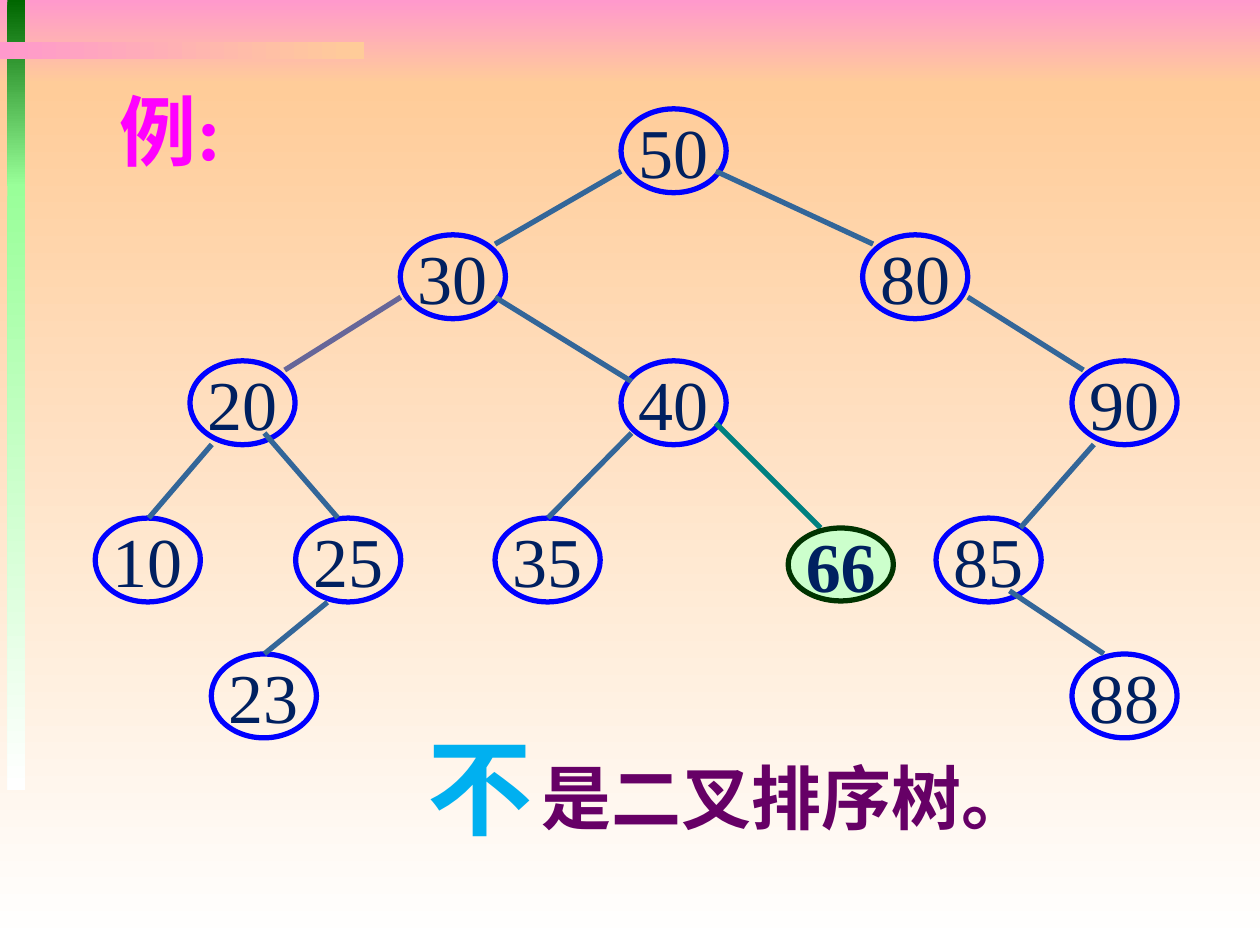
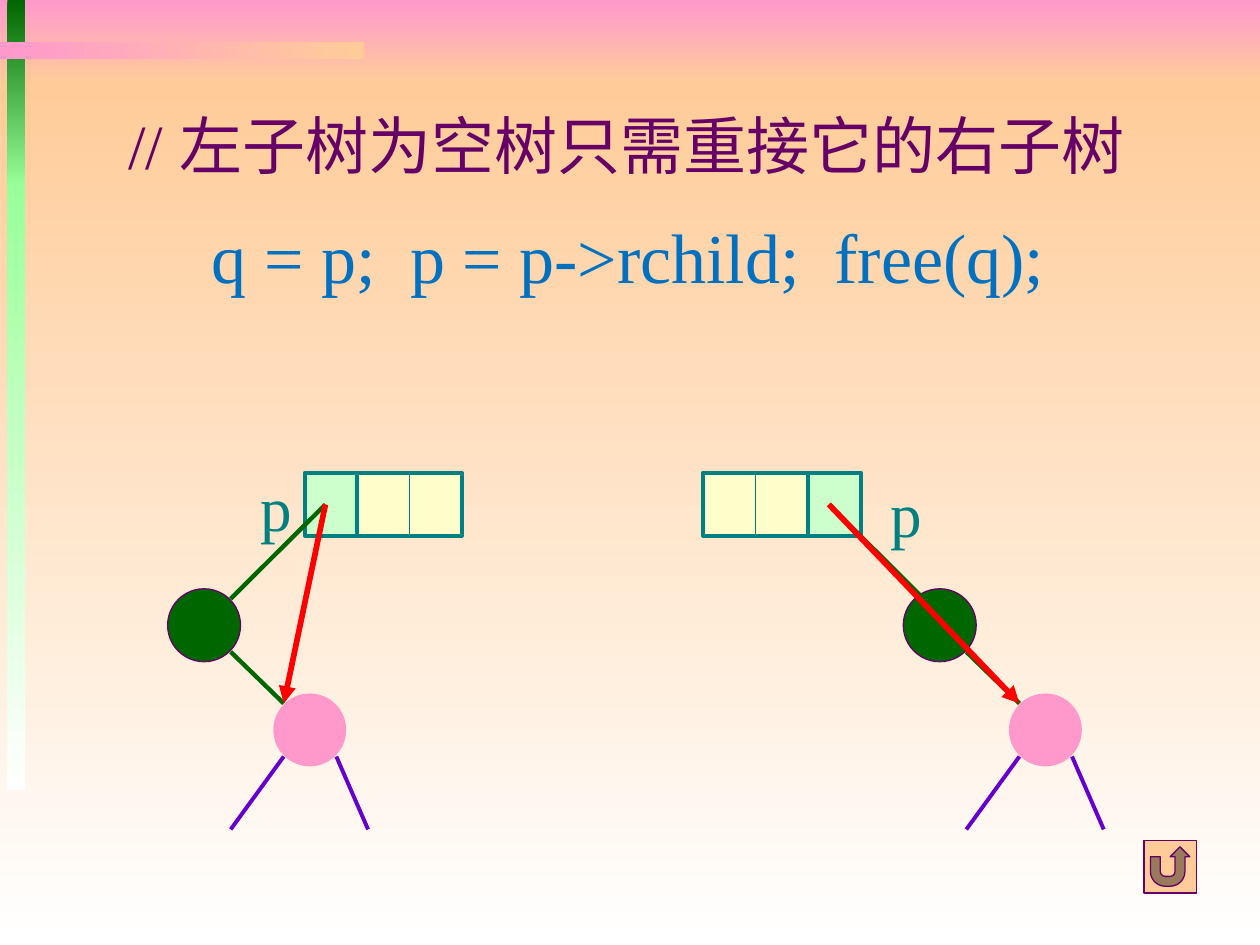
from lxml import etree
from pptx import Presentation
from pptx.dml.color import RGBColor
from pptx.enum.shapes import MSO_CONNECTOR, MSO_SHAPE
from pptx.enum.text import MSO_ANCHOR, PP_ALIGN
from pptx.oxml.ns import qn
from pptx.util import Cm, Pt

RECT = MSO_SHAPE.RECTANGLE
OVAL = MSO_SHAPE.OVAL
RETURN_BUTTON = MSO_SHAPE.ACTION_BUTTON_RETURN
STRAIGHT = MSO_CONNECTOR.STRAIGHT
MIDDLE = MSO_ANCHOR.MIDDLE
CENTER = PP_ALIGN.CENTER

LATIN = "Times New Roman"
CHINESE = "Noto Sans CJK SC"
PINK, PEACH, WHITE = "FF99CC", "FFCC99", "FFFFFF"
GREEN, LIGHT_GREEN, MINT = "006600", "99FF99", "CCFFCC"
NAVY, BLUE, STEEL, TEAL = "002060", "0000FF", "336699", "008080"
PURPLE, VIOLET, RED, CREAM = "660066", "6600CC", "FF0000", "FFFFCC"

NODE_W, NODE_H = 2.12, 1.69
LEVELS = (0.86, 3.4, 5.94, 9.11, 11.85)
NODES = (
    (50, 11.65, 0), (30, 7.2, 1), (80, 16.52, 1), (20, 2.96, 2),
    (40, 11.65, 2), (90, 20.74, 2), (10, 1.05, 3), (25, 5.09, 3),
    (35, 9.11, 3), (85, 18.0, 3), (23, 3.39, 4), (88, 20.74, 4),
)
EDGES = (
    (10.59, 1.27, 8.05, 2.74, STEEL), (6.15, 3.81, 3.81, 5.28, "666699"),
    (12.5, 1.27, 15.67, 2.74, STEEL), (8.05, 3.81, 10.8, 5.51, STEEL),
    (2.34, 6.78, 1.07, 8.26, STEEL), (3.4, 6.55, 4.88, 8.26, STEEL),
    (4.67, 9.96, 3.4, 11.0, STEEL), (10.8, 6.55, 9.12, 8.26, STEEL),
    (17.58, 3.81, 19.91, 5.28, STEEL), (20.12, 6.78, 18.64, 8.46, STEEL),
    (18.42, 9.73, 20.32, 11.0, STEEL), (12.5, 6.35, 14.61, 8.46, TEAL),
)


def color(value):
    return RGBColor.from_string(value)


def add_figure(slide, kind, box, fill=None, line=None, width=0.75):
    figure = slide.shapes.add_shape(kind, *map(Cm, box))
    figure.shadow.inherit = False
    if fill:
        figure.fill.solid()
        figure.fill.fore_color.rgb = color(fill)
    else:
        figure.fill.background()
    if line:
        figure.line.color.rgb = color(line)
        figure.line.width = Pt(width)
    else:
        figure.line.fill.background()
    return figure


def add_line(slide, start, end, stroke, width, arrow=False):
    line = slide.shapes.add_connector(STRAIGHT, *map(Cm, (*start, *end)))
    line.line.color.rgb = color(stroke)
    line.line.width = Pt(width)
    properties = line.element.spPr
    if arrow:
        etree.SubElement(properties.find(qn("a:ln")), qn("a:tailEnd"), type="triangle")
    etree.SubElement(properties, qn("a:effectLst"))


def write(frame, text, size, ink, bold=False, font=LATIN):
    frame.text = text
    run = frame.paragraphs[0].runs[0]
    run.font.name = font
    run.font.size = Pt(size)
    run.font.bold = bold
    run.font.color.rgb = color(ink)
    latin = run.font._element.find(qn("a:latin"))
    latin.addnext(latin.makeelement(qn("a:ea"), typeface=CHINESE))


def add_text(slide, box, text, size, ink, bold=False, font=LATIN, wrap=False):
    label = slide.shapes.add_textbox(*map(Cm, box))
    label.text_frame.word_wrap = wrap
    write(label.text_frame, text, size, ink, bold, font)
    return label


def add_theme(slide, layout):
    for placeholder in list(layout.placeholders):
        layout.shapes.element.remove(placeholder.element)
    bands = (
        ((0, 0, 25.4, 1.7), PINK, PEACH, 270),
        ((0, 1.7, 25.4, 17.35), PEACH, WHITE, 270),
        ((0.15, 0, 0.36, 3.76), GREEN, LIGHT_GREEN, 270),
        ((0.15, 3.71, 0.36, 12.22), LIGHT_GREEN, WHITE, 270),
        ((0, 0.84, 7.34, 0.36), PINK, PEACH, 0),
    )
    for box, first, last, angle in bands:
        band = add_figure(slide, RECT, box)
        band.fill.gradient()
        band.fill.gradient_angle = angle
        for stop, shade in zip(band.fill.gradient_stops, (first, last)):
            stop.color.rgb = color(shade)
        layout.shapes.element.append(band.element)


def add_node(slide, center_x, center_y, key, height=NODE_H, fill=None, line=BLUE, bold=False):
    box = (center_x - NODE_W / 2, center_y - height / 2, NODE_W, height)
    node = add_figure(slide, OVAL, box, fill, line, 3)
    frame = node.text_frame
    frame.word_wrap = False
    frame.vertical_anchor = MIDDLE
    write(frame, str(key), 40, NAVY, bold)
    frame.paragraphs[0].alignment = CENTER


def add_tree(slide, left, top):
    for key, x, level in NODES:
        add_node(slide, left + x, top + LEVELS[level], key)
    for x1, y1, x2, y2, stroke in EDGES:
        add_line(slide, (left + x1, top + y1), (left + x2, top + y2), stroke, 3)
    add_node(slide, left + 15.02, top + 9.2, 66, 1.47, MINT, "003300", True)


def add_verdict(slide, left, top):
    add_text(slide, (left + 2.31, top + 0.64, 10.49, 1.96), "是二叉排序树。", 40, PURPLE, True, CHINESE)
    add_text(slide, (left, top, 2.64, 2.79), "不", 60, "00B0F0", True)


def add_code(slide, left, top):
    remark = add_text(slide, (left, top, 20.78, 2.29), "// 左子树为空树只需重接它的右子树",
                      36, PURPLE, wrap=True)
    remark.text_frame.paragraphs[0].line_spacing = 1.5
    add_text(slide, (left + 1.68, top + 2.92, 17.32, 1.96),
             "q = p;  p = p->rchild;  free(q);", 40, "0070C0")


def add_relinking(slide, left, top, link_x, cells_x, subtree_x, removed_end_x, p_x, p_y):
    def at(x, y):
        return left + x, top + y

    def below(x, y):
        return at(subtree_x + x, y)

    cell_w, cell_h, circle = 1.06, 1.27, 1.47
    middle_x = cells_x + cell_w
    link = at(link_x + 0.41, 0.64)
    child = below(2.34, 4.65)
    add_figure(slide, RECT, (*at(link_x, 0), cell_w, cell_h), MINT, TEAL, 2.25)
    add_figure(slide, RECT, (*at(cells_x, 0), 2 * cell_w, cell_h), CREAM, TEAL, 2.25)
    add_line(slide, at(middle_x, 0), at(middle_x, cell_h), TEAL, 0.75)
    add_figure(slide, OVAL, (*below(0, 2.34), circle, circle), GREEN, PURPLE)
    add_figure(slide, OVAL, (*below(2.13, 4.45), circle, circle), PINK)
    add_line(slide, below(2.34, 5.72), below(1.27, 7.19), VIOLET, 2.25)
    add_line(slide, below(3.4, 5.72), below(4.04, 7.19), VIOLET, 2.25)
    add_line(slide, below(1.27, 3.61), child, GREEN, 2.5)
    add_line(slide, link, below(removed_end_x, 2.54), GREEN, 2.5)
    add_line(slide, link, child, RED, 3.25, arrow=True)
    add_text(slide, (*at(p_x, p_y), 1.14, 1.78), "p", 36, TEAL)


def build_example(slide):
    add_tree(slide, 1.93, 2.18)
    add_text(slide, (2.16, 1.55, 2.62, 2.13), "例:", 44, "FF00FF", True)
    add_verdict(slide, 8.36, 14.45)


def build_deletion(slide):
    add_code(slide, 2.34, 1.27)
    add_relinking(slide, 3.38, 9.53, link_x=2.77, cells_x=3.81, subtree_x=0,
                  removed_end_x=1.27, p_x=1.63, p_y=-0.2)
    add_relinking(slide, 14.17, 9.53, link_x=2.13, cells_x=0, subtree_x=4.04,
                  removed_end_x=0.41, p_x=3.53, p_y=-0.08)
    add_figure(slide, RETURN_BUTTON, (23.06, 16.94, 1.06, 1.06), PEACH, PURPLE)


def main():
    deck = Presentation()
    deck.slide_width, deck.slide_height = Cm(25.4), Cm(19.05)
    blank = deck.slide_layouts[6]
    example = deck.slides.add_slide(blank)
    add_theme(example, blank)
    build_example(example)
    build_deletion(deck.slides.add_slide(blank))
    deck.save("out.pptx")


if __name__ == "__main__":
    main()
